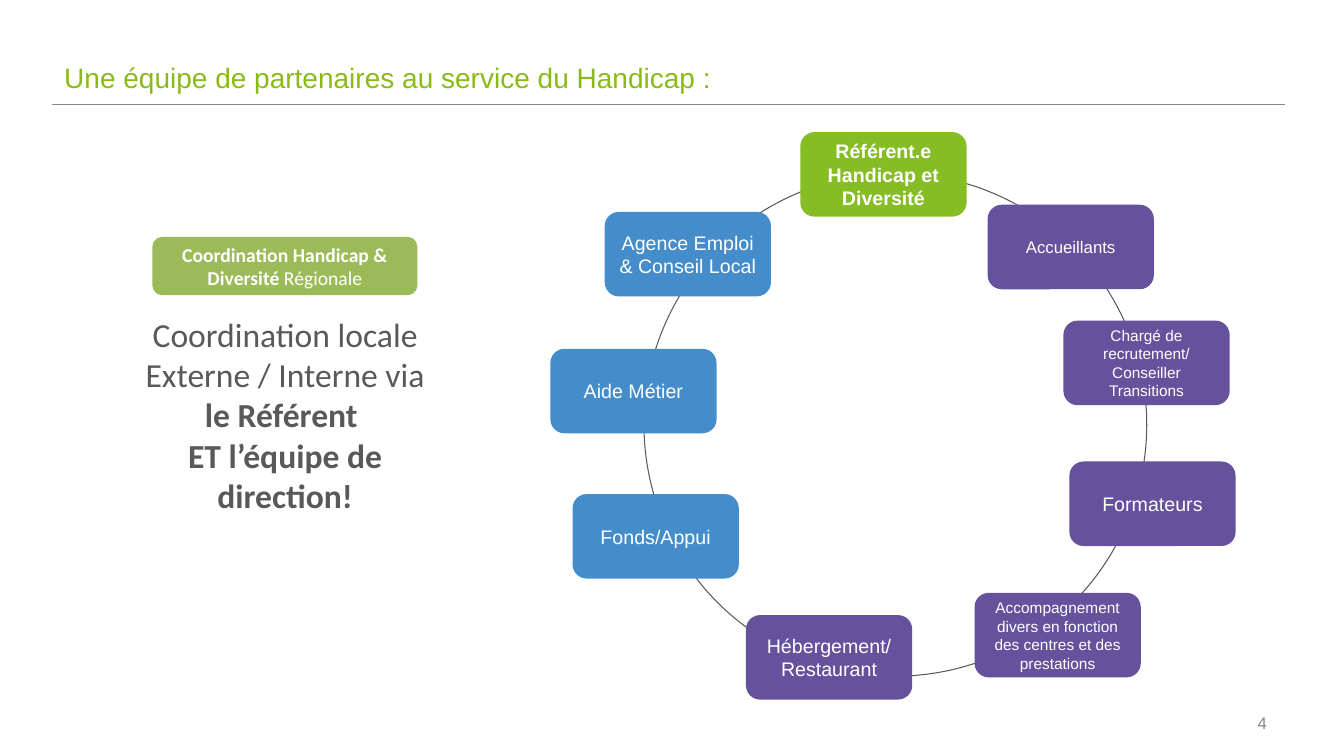
from lxml import etree
from pptx import Presentation
from pptx.dml.color import RGBColor
from pptx.enum.shapes import MSO_CONNECTOR, MSO_SHAPE
from pptx.enum.text import MSO_ANCHOR, PP_ALIGN
from pptx.oxml.ns import qn
from pptx.util import Cm, Pt

ROUNDED, OVAL = MSO_SHAPE.ROUNDED_RECTANGLE, MSO_SHAPE.OVAL
STRAIGHT = MSO_CONNECTOR.STRAIGHT
TOP, MIDDLE, BOTTOM = MSO_ANCHOR.TOP, MSO_ANCHOR.MIDDLE, MSO_ANCHOR.BOTTOM
LEFT, CENTER, RIGHT = PP_ALIGN.LEFT, PP_ALIGN.CENTER, PP_ALIGN.RIGHT

WHITE, GRAY, DARK = "FFFFFF", "898989", "595959"
TITLE_GREEN, SAGE, GREEN = "89BA17", "9BBB59", "86BC24"
BLUE, PURPLE = "448CCA", "66519D"

CARD_W, CARD_H = 4.19, 2.13
PARTNERS = [
    ("Référent.e\nHandicap et Diversité", 3.94, -1.04, GREEN, 14),
    ("Agence Emploi & Conseil Local", -0.99, 0.97, BLUE, 14),
    ("Aide Métier", -2.36, 4.42, BLUE, 14),
    ("Fonds/Appui", -1.8, 8.08, BLUE, 14),
    ("Hébergement/ Restaurant", 2.57, 11.13, PURPLE, 14),
    ("Accompagnement divers en fonction des centres et des prestations",
     8.33, 10.57, PURPLE, 11),
    ("Formateurs", 10.72, 7.26, PURPLE, 14),
    ("Chargé de recrutement/ Conseiller Transitions", 10.57, 3.71, PURPLE, 11),
    ("Accueillants", 8.66, 0.79, PURPLE, 12),
]


def rgb(color):
    return RGBColor.from_string(color)


def add_run(p, text, size=14, color=WHITE, font="Arial", bold=False):
    r = p.add_run()
    r.text = text
    r.font.size = Pt(size)
    r.font.name = font
    r.font.bold = bold
    r.font.color.rgb = rgb(color)


def set_frame(sp, anchor, align, margin_y=0.13):
    tf = sp.text_frame
    tf.word_wrap = True
    tf.vertical_anchor = anchor
    tf.margin_top = tf.margin_bottom = Cm(margin_y)
    tf.paragraphs[0].alignment = align
    return tf


def add_text_box(s, x, y, w, h, anchor, align):
    sp = s.shapes.add_textbox(Cm(x), Cm(y), Cm(w), Cm(h))
    return set_frame(sp, anchor, align).paragraphs[0]


def add_card(s, x, y, w, h, fill):
    sp = s.shapes.add_shape(ROUNDED, Cm(x), Cm(y), Cm(w), Cm(h))
    sp.shadow.inherit = False
    sp.fill.solid()
    sp.fill.fore_color.rgb = rgb(fill)
    sp.line.fill.background()
    return set_frame(sp, MIDDLE, CENTER, 0)


def add_header(s, x, y, w, h):
    rule = s.shapes.add_connector(STRAIGHT, Cm(x), Cm(y + h), Cm(x + w), Cm(y + h))
    rule.line.color.rgb = rgb(GRAY)
    rule.line.width = Pt(1)
    etree.SubElement(rule._element.spPr, qn("a:effectLst"))
    p = add_text_box(s, x + 0.05, y, 24.84, h - 0.15, BOTTOM, LEFT)
    add_run(p, "Une équipe de partenaires au service du Handicap :",
            size=20, color=TITLE_GREEN)


def add_coordination(s, x, y, w, h):
    p = add_card(s, x + 0.44, y, w - 0.89, 1.47, SAGE).paragraphs[0]
    add_run(p, "Coordination Handicap & Diversité ", font="Calibri", bold=True)
    add_run(p, "Régionale", font="Calibri")

    style = {"size": 24, "color": DARK, "font": "Calibri"}
    p = add_text_box(s, x, y + 1.8, w, h - 1.8, TOP, CENTER)
    add_run(p, "Coordination locale Externe / Interne via ", **style)
    add_run(p, "le Référent ", bold=True, **style)
    p.add_line_break()
    add_run(p, "ET l’équipe de direction!", bold=True, **style)


def add_partner_ring(s, x, y, diameter):
    ring = s.shapes.add_shape(OVAL, Cm(x), Cm(y), Cm(diameter), Cm(diameter))
    ring.shadow.inherit = False
    ring.fill.background()
    ring.line.color.rgb = rgb(DARK)
    ring.line.width = Pt(0.75)
    for text, dx, dy, fill, size in PARTNERS:
        tf = add_card(s, x + dx, y + dy, CARD_W, CARD_H, fill)
        for i, line in enumerate(text.split("\n")):
            p = tf.add_paragraph() if i else tf.paragraphs[0]
            p.alignment = CENTER
            add_run(p, line, size=size, bold=fill == GREEN)


def add_page_number(s, x, y, w, h):
    p = add_text_box(s, x, y, w, h, MIDDLE, RIGHT)
    add_run(p, "4", size=12, color=GRAY)


def main():
    prs = Presentation()
    prs.slide_width, prs.slide_height = Cm(33.87), Cm(19.05)
    s = prs.slides.add_slide(prs.slide_layouts[6])
    add_header(s, 1.32, 0.46, 31.07, 2.18)
    add_coordination(s, 3.4, 5.97, 7.57, 7.18)
    add_partner_ring(s, 16.23, 4.37, 12.67)
    add_page_number(s, 24.28, 17.7, 7.9, 1.02)
    prs.save("out.pptx")


if __name__ == "__main__":
    main()
